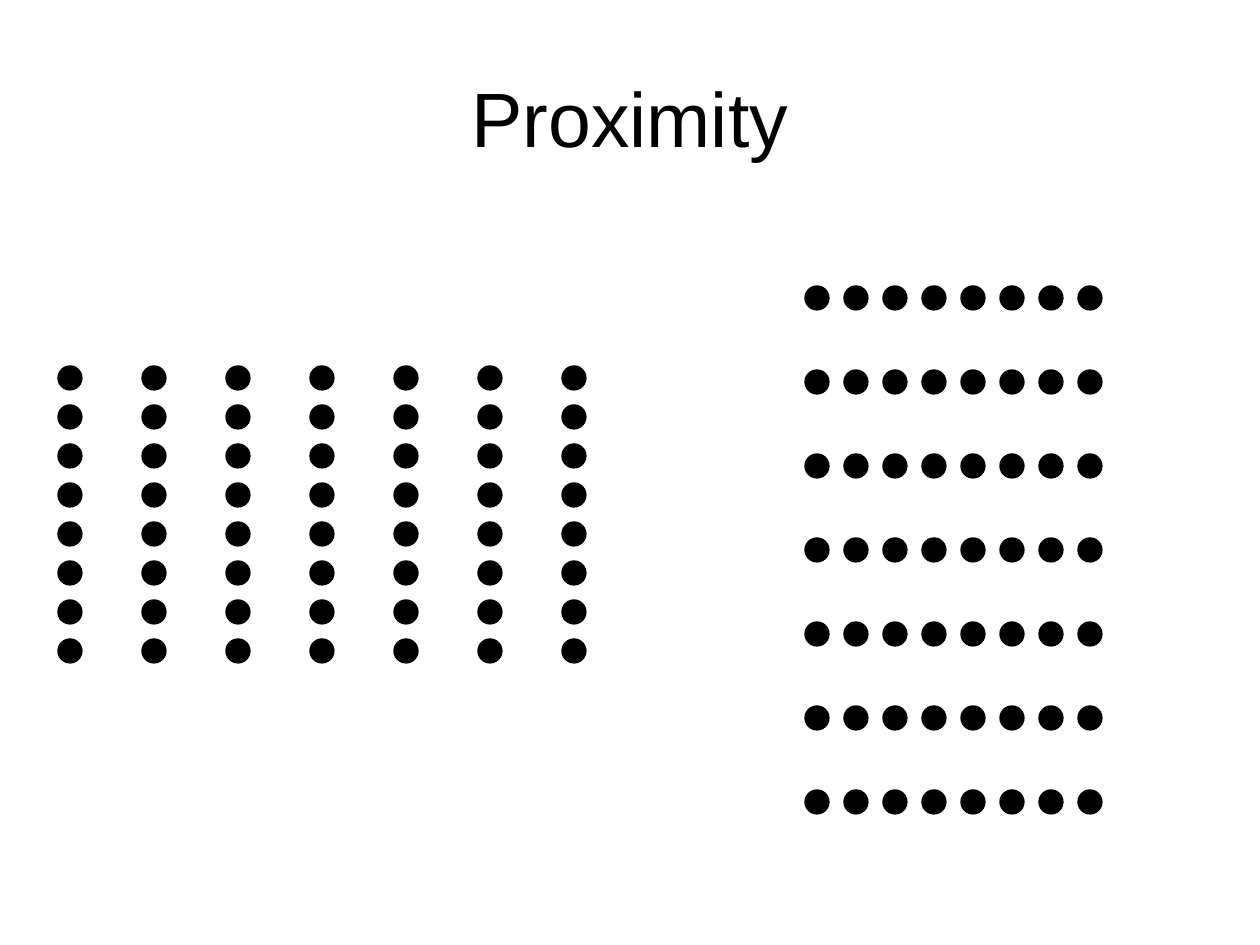
from itertools import product

from pptx import Presentation
from pptx.dml.color import RGBColor
from pptx.enum.shapes import MSO_SHAPE as Shape
from pptx.enum.text import MSO_ANCHOR as Anchor, PP_ALIGN as Align
from pptx.util import Emu, Pt

COLORS = {"ink": "000000"}
DOT = 24
NEAR, FAR = 39, 84


def px(length):
    return Emu(round(length * 914400 / 126))


def color(name):
    return RGBColor.from_string(COLORS[name])


def add_title(slide, text, left, top, width, height):
    title = slide.shapes.add_textbox(px(left), px(top), px(width), px(height))
    frame = title.text_frame
    frame.word_wrap = True
    frame.vertical_anchor = Anchor.MIDDLE
    frame.text = text
    heading = frame.paragraphs[0]
    heading.alignment = Align.CENTER
    font = heading.runs[0].font
    font.name = "Arial"
    font.size = Pt(44)
    font.color.rgb = color("ink")


def add_dot(group, left, top):
    dot = group.shapes.add_shape(Shape.OVAL, px(left), px(top), px(DOT), px(DOT))
    dot.shadow.inherit = False
    dot.fill.solid()
    dot.fill.fore_color.rgb = color("ink")
    dot.line.color.rgb = color("ink")
    dot.line.width = Pt(0.75)


def add_dot_grid(slide, left, top, columns, rows, column_step, row_step):
    group = slide.shapes.add_group_shape()
    for row, column in product(range(rows), range(columns)):
        add_dot(group, left + column * column_step, top + row * row_step)


def main():
    deck = Presentation()
    deck.slide_width, deck.slide_height = px(1260), px(945)
    slide = deck.slides.add_slide(deck.slide_layouts[6])
    add_title(slide, "Proximity", 63, 38, 1134, 157)
    add_dot_grid(slide, 58, 366, 7, 8, FAR, NEAR)
    add_dot_grid(slide, 805, 286, 8, 7, NEAR, FAR)
    deck.save("out.pptx")


if __name__ == "__main__":
    main()
